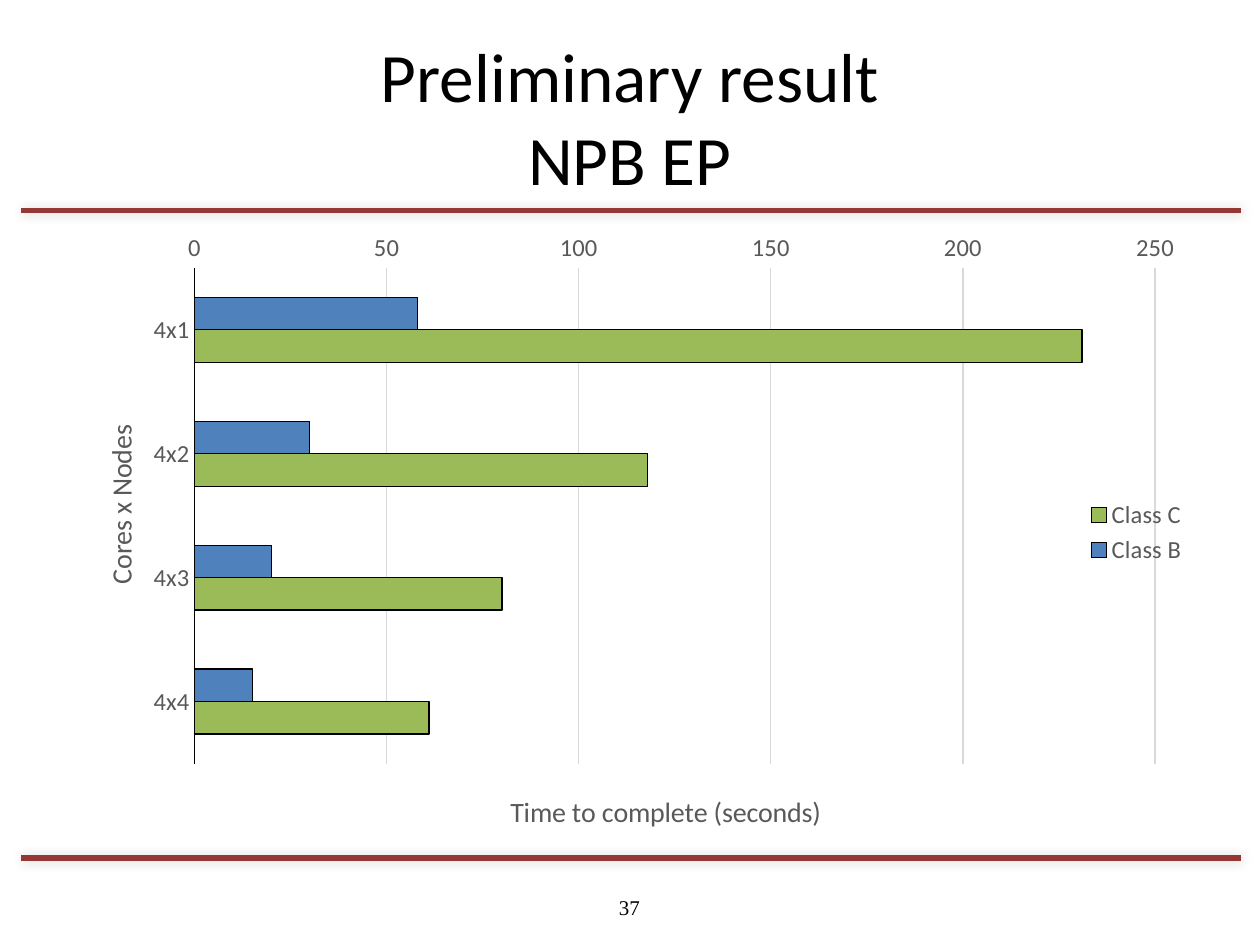
from lxml import etree
from pptx import Presentation
from pptx.chart.data import CategoryChartData
from pptx.dml.color import RGBColor
from pptx.enum.chart import XL_CHART_TYPE, XL_LEGEND_POSITION, XL_TICK_MARK
from pptx.enum.shapes import MSO_CONNECTOR
from pptx.enum.text import MSO_ANCHOR, PP_ALIGN
from pptx.oxml import parse_xml
from pptx.oxml.ns import nsdecls, qn
from pptx.util import Inches, Pt

BLACK = RGBColor(0x00, 0x00, 0x00)
GRAY = RGBColor(0x59, 0x59, 0x59)
GRID = RGBColor(0xD9, 0xD9, 0xD9)
RED = RGBColor(0x95, 0x37, 0x35)
BLUE = RGBColor(0x4F, 0x81, 0xBD)
GREEN = RGBColor(0x9B, 0xBB, 0x59)

CATEGORIES = ["4x1", "4x2", "4x3", "4x4"]
SERIES = [("Class B", [58, 30, 20, 15], BLUE), ("Class C", [231, 118, 80, 61], GREEN)]


def add_rule(slide, left, top, width):
    """Draw a horizontal red line with a soft shadow."""
    line = slide.shapes.add_connector(
        MSO_CONNECTOR.STRAIGHT, Inches(left), Inches(top), Inches(left + width), Inches(top))
    line.line.color.rgb = RED
    line.line.width = Pt(3)
    line._element.spPr.append(parse_xml(
        f'<a:effectLst {nsdecls("a")}><a:outerShdw blurRad="{Pt(6)}" dist="0" dir="13500000">'
        '<a:srgbClr val="000000"><a:alpha val="20000"/></a:srgbClr>'
        '</a:outerShdw></a:effectLst>'))


def add_centered_text(slide, lines, left, top, width, height, size, font):
    box = slide.shapes.add_textbox(Inches(left), Inches(top), Inches(width), Inches(height))
    tf = box.text_frame
    tf.word_wrap = True
    tf.vertical_anchor = MSO_ANCHOR.MIDDLE
    p = tf.paragraphs[0]
    p.alignment = PP_ALIGN.CENTER
    for i, text in enumerate(lines):
        if i:
            p.add_line_break()
        r = p.add_run()
        r.text = text
        r.font.size = Pt(size)
        r.font.name = font
        r.font.color.rgb = BLACK


def style_font(font, size):
    font.size = Pt(size)
    font.name = "Calibri"
    font.bold = False
    font.color.rgb = GRAY


def set_layout(element, after, x, y, w=None, h=None):
    """Place a chart part at fractions of the chart, after the named child if any."""
    for old in element.findall(qn("c:layout")):
        element.remove(old)
    layout = etree.Element(qn("c:layout"))
    manual = etree.SubElement(layout, qn("c:manualLayout"))
    values = [("xMode", "edge"), ("yMode", "edge"), ("x", x), ("y", y)]
    if w is not None:
        values = [("layoutTarget", "inner")] + values + [("w", w), ("h", h)]
    for tag, value in values:
        etree.SubElement(manual, qn(f"c:{tag}")).set("val", str(value))
    if after:
        element.find(qn(after)).addnext(layout)
    else:
        element.insert(0, layout)


def style_axis(axis, title, x, y):
    axis.major_tick_mark = axis.minor_tick_mark = XL_TICK_MARK.NONE
    style_font(axis.tick_labels.font, 14)
    p = axis.axis_title.text_frame.paragraphs[0]
    r = p.add_run()
    r.text = title
    style_font(r.font, 16)
    set_layout(axis.axis_title._element, "c:tx", x, y)


def add_time_chart(slide, left, top, width, height):
    data = CategoryChartData()
    data.categories = CATEGORIES
    for name, values, _ in SERIES:
        data.add_series(name, values)
    chart = slide.shapes.add_chart(
        XL_CHART_TYPE.BAR_CLUSTERED, Inches(left), Inches(top),
        Inches(width), Inches(height), data).chart
    chart.has_title = False
    chart.font.size = Pt(10)
    chart.font.name = "Calibri"

    plot = chart.plots[0]
    plot.gap_width = 182
    plot.overlap = 0
    plot.vary_by_categories = False
    for series, (_, _, color) in zip(plot.series, SERIES):
        series.format.fill.solid()
        series.format.fill.fore_color.rgb = color
        series.format.line.color.rgb = BLACK
        series.format.line.width = Pt(0.75)

    cat_axis, val_axis = chart.category_axis, chart.value_axis
    style_axis(cat_axis, "Cores x Nodes", 0.03, 0.32)
    cat_axis.reverse_order = True
    cat_axis.format.line.color.rgb = BLACK
    cat_axis.format.line.width = Pt(0.75)
    style_axis(val_axis, "Time to complete (seconds)", 0.39, 0.91)
    val_axis.minimum_scale, val_axis.maximum_scale, val_axis.major_unit = 0, 250, 50
    val_axis.format.line.fill.background()
    val_axis.major_gridlines.format.line.color.rgb = GRID
    val_axis.major_gridlines.format.line.width = Pt(0.75)

    chart.has_legend = True
    legend = chart.legend
    legend.position = XL_LEGEND_POSITION.RIGHT
    legend.include_in_layout = True
    style_font(legend.font, 14)
    set_layout(legend._element, "c:legendPos", 0.9, 0.44)
    plot_area = chart._chartSpace.find(f'{qn("c:chart")}/{qn("c:plotArea")}')
    set_layout(plot_area, None, 0.116, 0.076, 0.847, 0.795)


def main():
    prs = Presentation()
    prs.slide_width, prs.slide_height = Inches(10), Inches(7.5)
    slide = prs.slides.add_slide(prs.slide_layouts[6])
    for top in (6.81, 1.67):
        add_rule(slide, 0.17, top, 9.68)
    add_centered_text(slide, ["37"], 3.83, 7, 2.33, 0.4, 12, "Times New Roman")
    add_centered_text(slide, ["Preliminary result", "NPB EP"], 0.5, 0.3, 9, 1.25, 39.6, "Calibri")
    add_time_chart(slide, 0.5, 1.75, 9, 4.95)
    prs.save("out.pptx")


if __name__ == "__main__":
    main()
